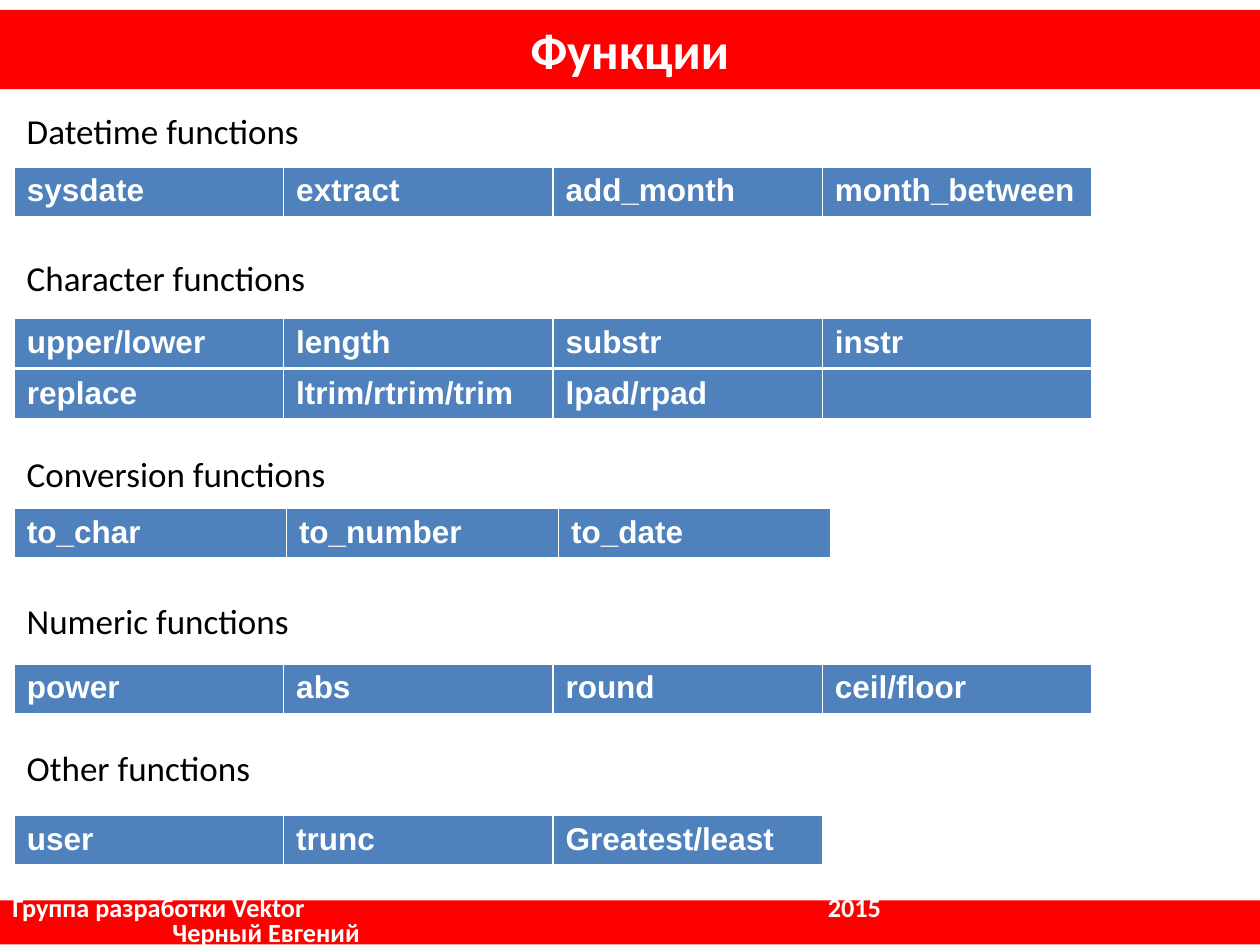
"""Build the slide that lists SQL functions by group."""
from lxml import etree
from pptx import Presentation
from pptx.dml.color import RGBColor
from pptx.enum.shapes import MSO_SHAPE
from pptx.enum.text import MSO_ANCHOR, PP_ALIGN
from pptx.oxml.ns import qn
from pptx.util import Pt

RECTANGLE = MSO_SHAPE.RECTANGLE
MIDDLE = MSO_ANCHOR.MIDDLE
LEFT, CENTER = PP_ALIGN.LEFT, PP_ALIGN.CENTER

COLORS = {"band": "FF0000", "cell": "4F81BD", "light": "FFFFFF", "text": "000000"}
TITLE = "Функции"
HEADINGS = [
    ("Datetime functions", 0),
    ("Character functions", 60),
    ("Conversion functions", 88),
    ("Numeric functions", 60),
    ("Other functions", 60),
]
TABLES = [
    (95.3, 153.9, ["sysdate", "extract", "add_month", "month_between"]),
    (182, 153.9, ["upper/lower", "length", "substr", "instr"]),
    (211, 153.9, ["replace", "ltrim/rtrim/trim", "lpad/rpad", ""]),
    (290.5, 155.5, ["to_char", "to_number", "to_date"]),
    (379.4, 153.9, ["power", "abs", "round", "ceil/floor"]),
    (465.8, 153.9, ["user", "trunc", "Greatest/least"]),
]
FOOTER = [("Группа разработки Vektor\t2015", 0), ("Черный Евгений", 91.5)]
FOOTER_TAB = 466
BORDERS = {"a:lnL": 1, "a:lnR": 1, "a:lnT": 1, "a:lnB": 3}

SLIDE_WIDTH, SLIDE_HEIGHT = 720, 540
MARGIN = 8.2
ROW_HEIGHT = 29.2
FRAME_SIDE = 236.2


def color(name):
    return RGBColor.from_string(COLORS[name])


def add_run(paragraph, text, size, font, color_name, bold=False):
    run = paragraph.add_run()
    run.text = text
    run.font.size = Pt(size)
    run.font.name = font
    run.font.bold = bold
    run.font.color.rgb = color(color_name)


def add_paragraph(frame, index):
    return frame.add_paragraph() if index else frame.paragraphs[0]


def add_band(slide, top, height):
    band = slide.shapes.add_shape(RECTANGLE, 0, Pt(top), Pt(SLIDE_WIDTH), Pt(height))
    band.shadow.inherit = False
    band.fill.solid()
    band.fill.fore_color.rgb = color("band")
    band.line.fill.background()
    band.text_frame.word_wrap = True
    band.text_frame.vertical_anchor = MIDDLE
    return band.text_frame


def add_title(slide):
    paragraph = add_band(slide, 5.6, 45.4).paragraphs[0]
    paragraph.alignment = CENTER
    add_run(paragraph, TITLE, 29, "Calibri", "light", True)


def add_headings(slide):
    box = slide.shapes.add_textbox(Pt(MARGIN), Pt(59), Pt(SLIDE_WIDTH - MARGIN), Pt(481))
    box.text_frame.word_wrap = True
    for index, (text, space) in enumerate(HEADINGS):
        paragraph = add_paragraph(box.text_frame, index)
        paragraph.space_before = Pt(space)
        add_run(paragraph, text, 20, "Calibri", "text")


def add_footer(slide):
    frame = add_band(slide, 514.5, 25.2)
    for index, (text, indent) in enumerate(FOOTER):
        paragraph = add_paragraph(frame, index)
        paragraph.alignment = LEFT
        paragraph.line_spacing = 0.8
        properties = paragraph._p.get_or_add_pPr()
        properties.set("marL", str(Pt(indent)))
        tabs = etree.SubElement(properties, qn("a:tabLst"))
        etree.SubElement(tabs, qn("a:tab"), pos=str(Pt(FOOTER_TAB)), algn="l")
        add_run(paragraph, text, 15, "Calibri", "light", True)


def style_cell(cell):
    properties = cell._tc.get_or_add_tcPr()
    for tag, width in BORDERS.items():
        line = etree.SubElement(properties, qn(tag), w=str(Pt(width)))
        fill = etree.SubElement(line, qn("a:solidFill"))
        etree.SubElement(fill, qn("a:srgbClr"), val=COLORS["light"])
    cell.fill.solid()
    cell.fill.fore_color.rgb = color("cell")


def add_function_table(slide, top, column_width, names):
    frame = slide.shapes.add_table(
        1, len(names), Pt(MARGIN), Pt(top), Pt(column_width * len(names)), Pt(ROW_HEIGHT))
    table = frame.table
    table.horz_banding = False
    for index, name in enumerate(names):
        table.columns[index].width = Pt(column_width)
        cell = table.cell(0, index)
        style_cell(cell)
        if name:
            add_run(cell.text_frame.paragraphs[0], name, 18, "Arial", "light", True)
    frame.width = frame.height = Pt(FRAME_SIDE)


def main():
    presentation = Presentation()
    presentation.slide_width = Pt(SLIDE_WIDTH)
    presentation.slide_height = Pt(SLIDE_HEIGHT)
    slide = presentation.slides.add_slide(presentation.slide_layouts[6])
    add_title(slide)
    add_headings(slide)
    add_footer(slide)
    for top, column_width, names in TABLES:
        add_function_table(slide, top, column_width, names)
    presentation.save("out.pptx")


if __name__ == "__main__":
    main()
